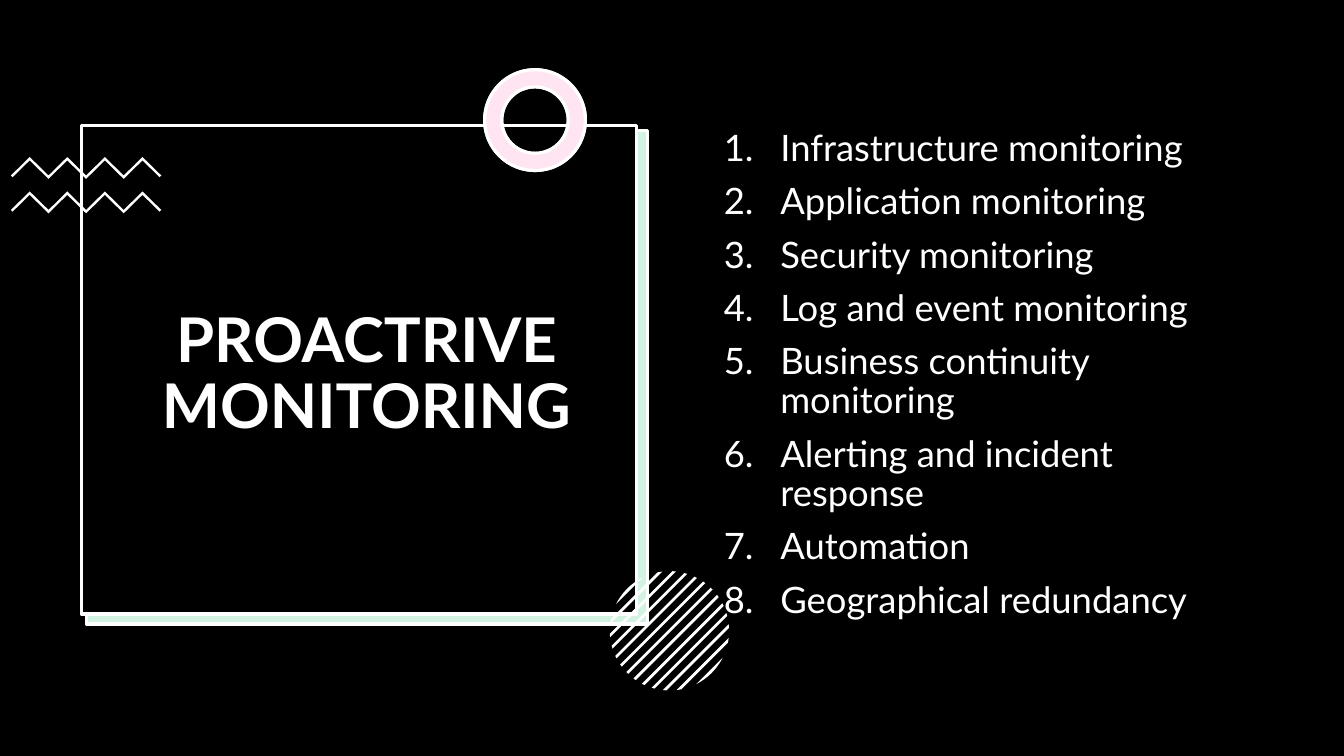
"""Build the proactive monitoring slide: a framed title, a numbered list and line ornaments."""
from math import acos, cos, pi, sin

from lxml.etree import SubElement
from pptx import Presentation
from pptx.dml.color import RGBColor
from pptx.enum.shapes import MSO_SHAPE
from pptx.enum.text import MSO_ANCHOR, MSO_AUTO_SIZE, PP_ALIGN
from pptx.oxml.ns import qn
from pptx.util import Inches, Pt

WHITE, BLACK, GREEN, PINK = "FFFFFF", "000000", "21C46B", "FF80BD"
TOPICS = [
    "Infrastructure monitoring",
    "Application monitoring",
    "Security monitoring",
    "Log and event monitoring",
    "Business continuity monitoring",
    "Alerting and incident response",
    "Automation",
    "Geographical redundancy",
]


def paint(shape, fill, line=None, opacity=100):
    """Fill and outline a shape from hex colours."""
    shape.shadow.inherit = False
    shape.fill.solid()
    shape.fill.fore_color.rgb = RGBColor.from_string(fill)
    if opacity < 100:
        color = shape.fill._xPr.find(qn("a:solidFill"))[0]
        SubElement(color, qn("a:alpha"), val=str(opacity * 1000))
    if line:
        shape.line.color.rgb = RGBColor.from_string(line)
        shape.line.width = Pt(2.25)
    else:
        shape.line.fill.background()


def draw_outline(group, points):
    """Add a white closed outline through points given in grid cells."""
    corners = [(x * cell, y * cell) for x, y in points]
    builder = group.shapes.build_freeform(*corners[0])
    builder.add_line_segments(corners[1:], close=True)
    paint(builder.convert_to_shape(), WHITE)


deck = Presentation()
deck.slide_width, deck.slide_height = Inches(40 / 3), Inches(7.5)
cell = deck.slide_width / 16
page = deck.slides.add_slide(deck.slide_layouts[5])
page.background.fill.solid()
page.background.fill.fore_color.rgb = RGBColor.from_string(BLACK)

frame = MSO_SHAPE.RECTANGLE
ring = MSO_SHAPE.DONUT
for kind, bounds, fill, line, opacity in [
    (frame, (1.02, 1.56, 6.68, 5.88), WHITE, None, 100),
    (frame, (1.03, 1.55, 6.68, 5.88), GREEN, WHITE, 20),
    (frame, (0.97, 1.49, 6.61, 5.82), BLACK, WHITE, 100),
    (ring, (5.77, 0.83, 1.2, 1.2), WHITE, WHITE, 100),
    (ring, (5.77, 0.83, 1.2, 1.2), PINK, WHITE, 20),
]:
    shape = page.shapes.add_shape(kind, *[round(value * cell) for value in bounds])
    if kind == ring:
        shape.adjustments[0] = 0.17
    paint(shape, fill, line, opacity)

zigzags = page.shapes.add_group_shape()
left, width, depth, thickness = 0.13, 1.79, 0.22, 0.04
for top in (1.87, 2.28):
    upper = [(left + width * i / 8, top + depth * (i % 2 == 0)) for i in range(9)]
    lower = [(x, y + thickness) for x, y in upper[1:-1]]
    tip = top + depth + thickness / 2
    ends = [(left + thickness / 2, tip)], [(left + width - thickness / 2, tip)]
    draw_outline(zigzags, upper + ends[1] + lower[::-1] + ends[0])

hatching = page.shapes.add_group_shape()
center_x, center_y, radius = 7.97, 7.51, 0.71
for stripe in range(-6, 7):
    start = -1 if stripe == -6 else stripe * 0.162 - 0.023
    stop = 1 if stripe == 6 else stripe * 0.162 + 0.023
    arc = [acos(start) + (acos(stop) - acos(start)) * i / 6 for i in range(7)]
    angles = [pi / 4 + turn for turn in arc] + [pi / 4 - turn for turn in arc[::-1]]
    draw_outline(hatching, [(center_x + radius * cos(a), center_y + radius * sin(a)) for a in angles])

title = page.shapes.title
title.left, title.top, title.width, title.height = [
    round(value * cell) for value in (1.1, 1.82, 6.53, 5.3)
]
page.shapes._spTree.append(title._element)
title.text_frame.text = "PROACTRIVE MONITORING"
title.text_frame.vertical_anchor = MSO_ANCHOR.MIDDLE
title.text_frame.paragraphs[0].alignment = PP_ALIGN.CENTER

box = page.shapes.add_textbox(*[round(value * cell) for value in (8.5, 1.49, 6.53, 5.71)])
box.text_frame.text = "\n".join(TOPICS)
for para in box.text_frame.paragraphs:
    para.space_before = Pt(10)
    properties = para._p.get_or_add_pPr()
    properties.set("marL", str(Inches(0.56)))
    properties.set("indent", str(-Inches(0.56)))
    SubElement(properties, qn("a:buFont"), typeface="+mj-lt")
    SubElement(properties, qn("a:buAutoNum"), type="arabicPeriod")

for holder, size, bold in ((title, 44, True), (box, 26, False)):
    holder.text_frame.word_wrap = True
    holder.text_frame.auto_size = MSO_AUTO_SIZE.NONE
    for para in holder.text_frame.paragraphs:
        para.line_spacing = 0.9
        for span in para.runs:
            span.font.name = "Lato"
            span.font.size = Pt(size)
            span.font.bold = bold
            span.font.color.rgb = RGBColor.from_string(WHITE)

deck.save("out.pptx")
